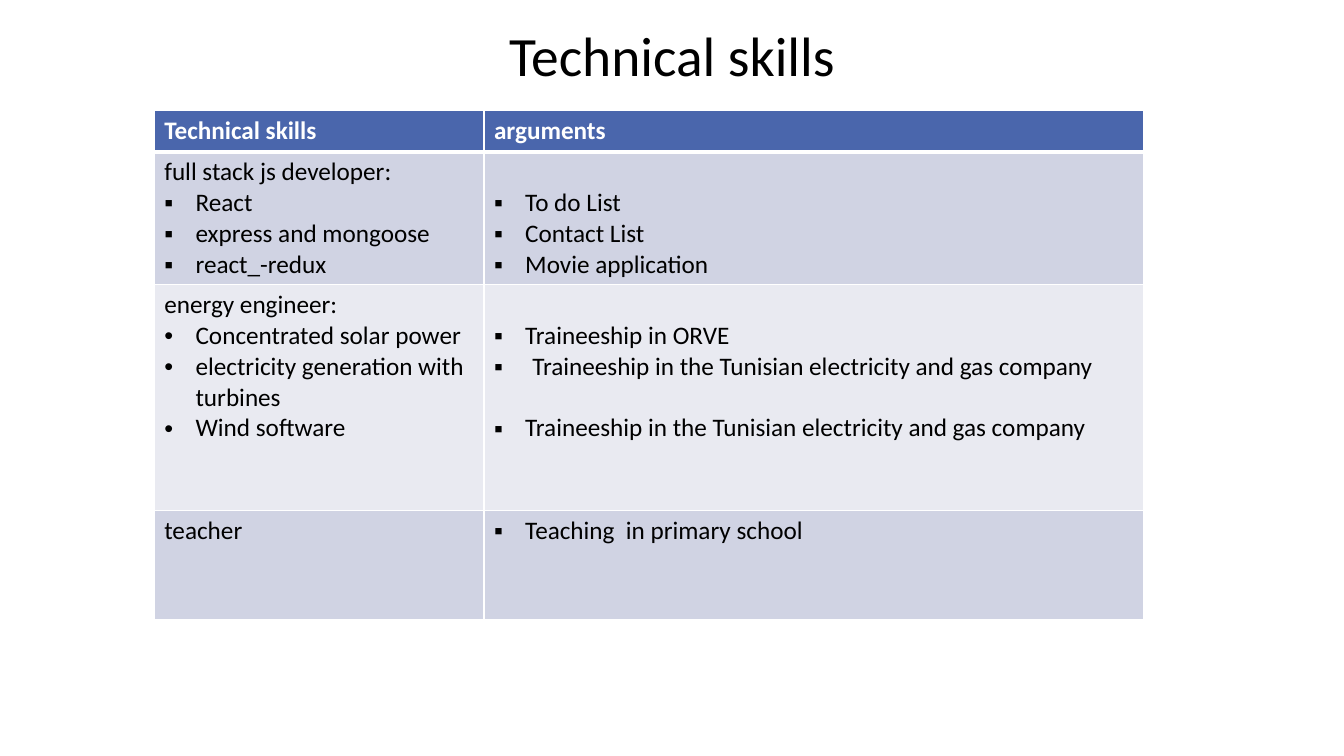
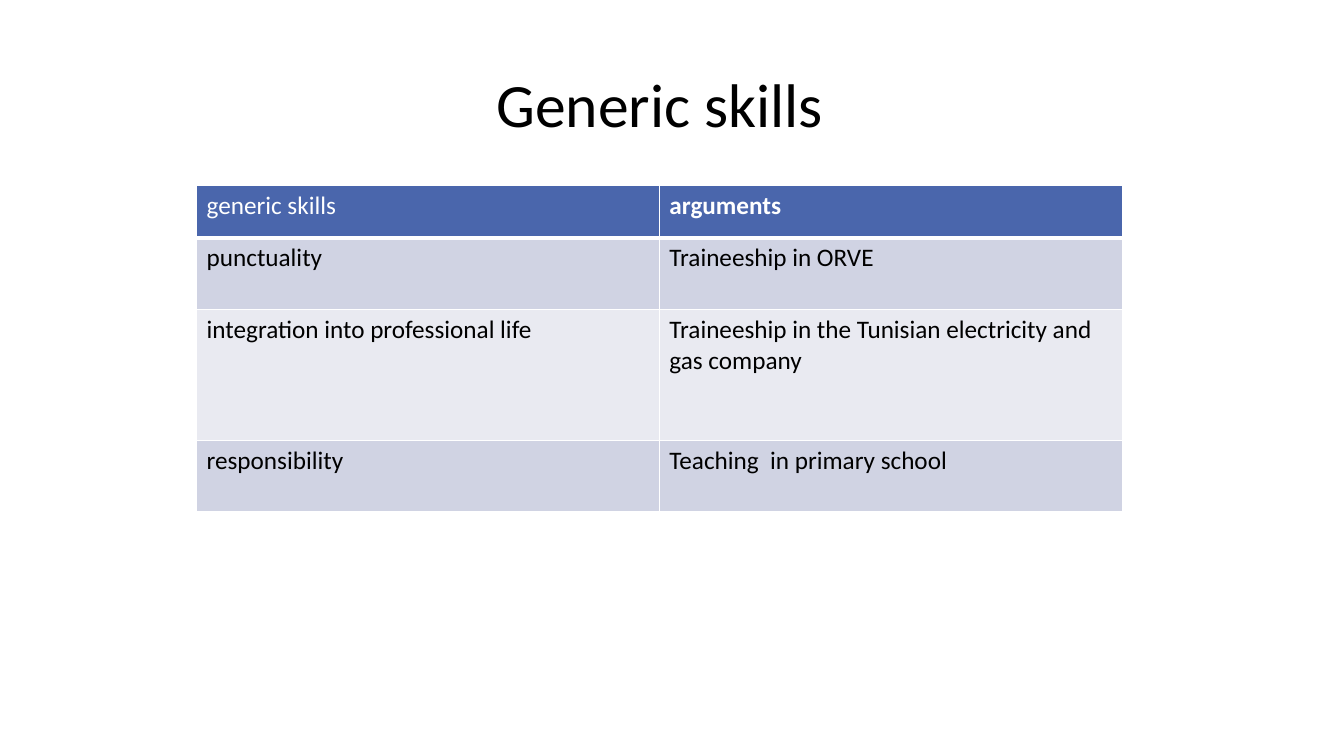
from pptx import Presentation
from pptx import util as u
from pptx.dml.color import RGBColor
from pptx.enum import text
from pptx.oxml.ns import qn
from lxml import etree

# Shared look
FONT, SIZE = "Calibri", 18
BLACK, WHITE, HEADER = "000000", "FFFFFF", "4A66AC"
BANDS = ["E9EAF1", "D0D3E3"]
LINE = 0.305  # height of one text line, inches
SQUARE, DOT = "▪", "•"
AGENCY = "Traineeship in ORVE"
GAS = "Traineeship in the Tunisian electricity and gas company"
SCHOOL = "Teaching  in primary school"


def item(words, bullet=None, indent=0.31, skip=0):
    """A paragraph; skip is the number of lines left free above it."""
    return dict(words=words, bullet=bullet, indent=indent, skip=skip)


# Content: each cell is a list of paragraphs
SLIDES = [
    dict(
        title="Technical skills", title_at=(1, 0.38, 11.33, 0.32), title_size=39.6,
        at=(1.53, 1.1), cols=[3.27, 6.54], heights=[0.38, 1.32, 2.24, 1.08],
        bold_heads=[True, True],
        rows=[
            ([item("Technical skills")], [item("arguments")]),
            ([item("full stack js developer:"), item("React", SQUARE),
              item("express and mongoose", SQUARE), item("react_-redux", SQUARE)],
             [item("To do List", SQUARE, skip=1), item("Contact List", SQUARE),
              item("Movie application", SQUARE)]),
            ([item("energy engineer:"), item("Concentrated solar power", DOT),
              item("electricity generation with turbines", DOT),
              item("Wind software", DOT)],
             [item(AGENCY, SQUARE, skip=1),
              item(GAS, SQUARE, indent=0.38), item(GAS, SQUARE, skip=1)]),
            ([item("teacher")], [item(SCHOOL, SQUARE)]),
        ],
    ),
    dict(
        title="Generic skills", title_at=(0.88, 0.52, 11.33, 1.01), title_size=44,
        at=(1.95, 1.84), cols=[4.59, 4.59], heights=[0.52, 0.71, 1.3, 0.71],
        bold_heads=[False, True],
        rows=[
            ([item("generic skills")], [item("arguments")]),
            ([item("punctuality")], [item(AGENCY)]),
            ([item("integration into professional life")], [item(GAS)]),
            ([item("responsibility")], [item(SCHOOL)]),
        ],
    ),
]


def rgb(value):
    return RGBColor.from_string(value)


def style(p, size, color, bold=False):
    for r in p.runs:
        r.font.name, r.font.size, r.font.bold = FONT, u.Pt(size), bold
        r.font.color.rgb = rgb(color)


def add_bullet(p, char, indent):
    pPr = p._p.get_or_add_pPr()
    pPr.set("marL", str(u.Inches(indent)))
    pPr.set("indent", str(-u.Inches(indent)))
    etree.SubElement(pPr, qn("a:buFont")).set("typeface", "Arial")
    etree.SubElement(pPr, qn("a:buChar")).set("char", char)


def add_borders(cell, top, bottom):
    tcPr = cell._tc.get_or_add_tcPr()
    for side, width in (("L", 1), ("R", 1), ("T", top), ("B", bottom)):
        ln = etree.SubElement(tcPr, qn("a:ln" + side), w=str(u.Pt(width)))
        fill = etree.SubElement(ln, qn("a:solidFill"))
        etree.SubElement(fill, qn("a:srgbClr")).set("val", WHITE)


def fill_cell(cell, items, row, bold):
    add_borders(cell, top=3 if row == 1 else 1, bottom=3 if row == 0 else 1)
    cell.fill.solid()
    cell.fill.fore_color.rgb = rgb(BANDS[row % 2] if row else HEADER)
    # Free lines above the first paragraph widen the top margin
    cell.margin_top = u.Inches(0.05 + items[0]["skip"] * LINE)
    tf = cell.text_frame
    for i, it in enumerate(items):
        p = tf.add_paragraph() if i else tf.paragraphs[0]
        p.text = it["words"]
        style(p, SIZE, BLACK if row else WHITE, bold)
        if it["bullet"]:
            add_bullet(p, it["bullet"], it["indent"])
        if i and it["skip"]:
            p.space_before = u.Pt(it["skip"] * LINE * 72)


def add_title(s, words, at, size):
    sp = s.shapes.title
    sp.left, sp.top, sp.width, sp.height = map(u.Inches, at)
    tf = sp.text_frame
    tf.text = words
    tf.auto_size = text.MSO_AUTO_SIZE.NONE
    tf.vertical_anchor = text.MSO_ANCHOR.MIDDLE
    tf.paragraphs[0].alignment = text.PP_ALIGN.CENTER
    style(tf.paragraphs[0], size, BLACK)


def add_skills(s, d):
    size = sum(d["cols"]), sum(d["heights"])
    table = s.shapes.add_table(len(d["rows"]), len(d["cols"]),
                               *map(u.Inches, d["at"] + size)).table
    for col, width in zip(table.columns, d["cols"]):
        col.width = u.Inches(width)
    for i, cells in enumerate(d["rows"]):
        table.rows[i].height = u.Inches(d["heights"][i])
        for j, items in enumerate(cells):
            fill_cell(table.cell(i, j), items, i, i == 0 and d["bold_heads"][j])


# Build
prs = Presentation()
prs.slide_width, prs.slide_height = u.Inches(13.33), u.Inches(7.5)
for d in SLIDES:
    s = prs.slides.add_slide(prs.slide_layouts[5])
    add_title(s, d["title"], d["title_at"], d["title_size"])
    add_skills(s, d)
prs.save("out.pptx")
